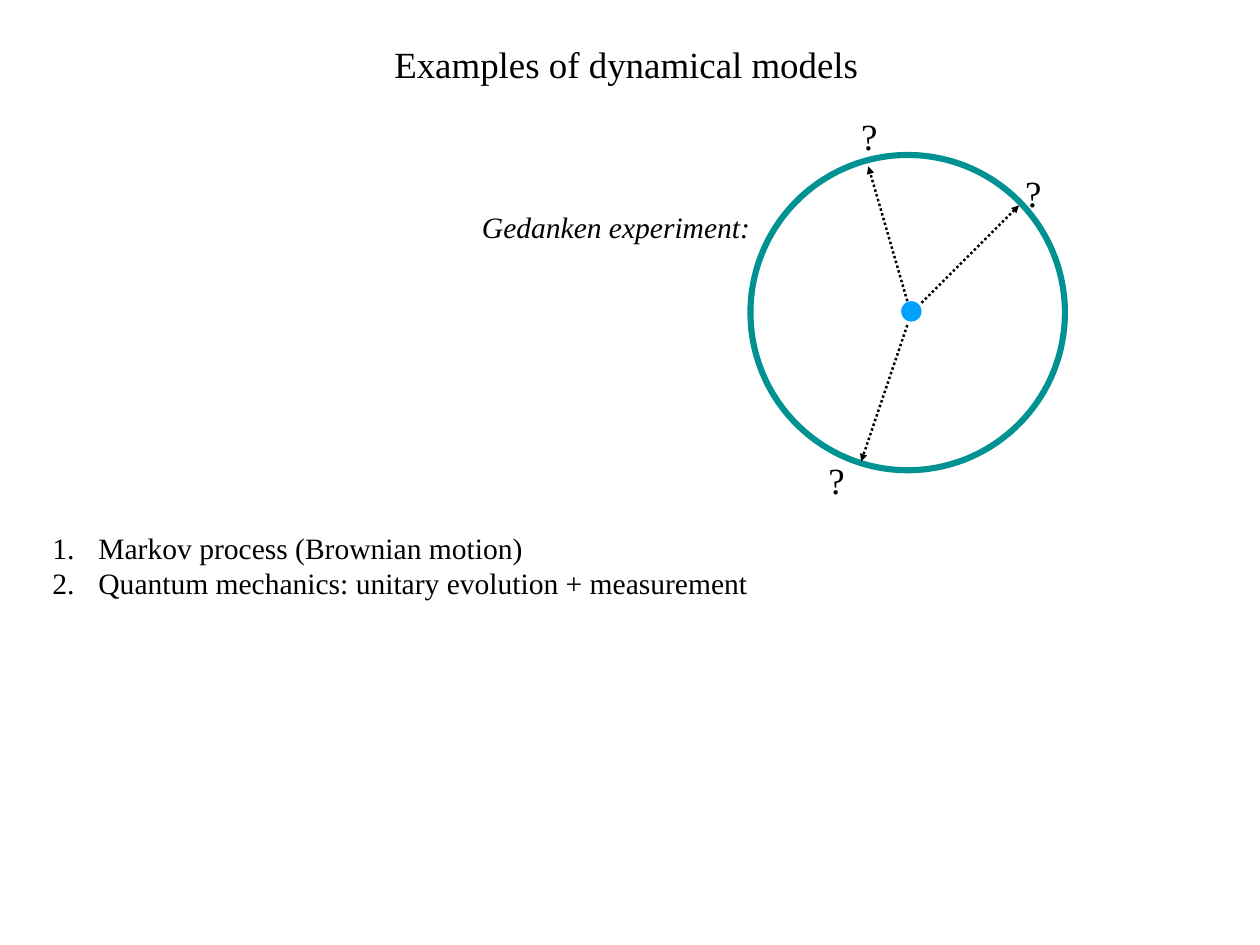
from lxml import etree
from pptx import Presentation, util as u
from pptx.dml.color import RGBColor
from pptx.enum import dml, shapes, text
from pptx.oxml import ns

BLACK = RGBColor(0x00, 0x00, 0x00)
TEAL = RGBColor(0x00, 0x91, 0x93)
BLUE = RGBColor(0x00, 0xA2, 0xFF)

presentation = Presentation()
presentation.slide_width = u.Inches(14.22)
presentation.slide_height = u.Inches(10.67)
column = presentation.slide_width / 100
row = presentation.slide_height / 100
slide = presentation.slides.add_slide(presentation.slide_layouts[5])


def place(left, top, width, height):
    return [int(left * column), int(top * row), int(width * column), int(height * row)]


def write(shape, lines, size, italic=False):
    frame = shape.text_frame
    frame.text = "\n".join(lines)
    frame_format = {
        "word_wrap": True,
        "auto_size": text.MSO_AUTO_SIZE.NONE,
        "vertical_anchor": text.MSO_ANCHOR.TOP,
    }
    for side in ("left", "top", "right", "bottom"):
        frame_format[f"margin_{side}"] = u.Inches(0.05)
    for name, value in frame_format.items():
        setattr(frame, name, value)
    font_format = {"name": "Times New Roman", "size": u.Pt(size), "italic": italic}
    for paragraph in frame.paragraphs:
        paragraph.alignment = text.PP_ALIGN.LEFT
        font = paragraph.runs[0].font
        for name, value in font_format.items():
            setattr(font, name, value)
        font.color.rgb = BLACK


title = slide.shapes.title
for name, value in zip(("left", "top", "width", "height"), place(30.94, 3.94, 42.83, 5.15)):
    setattr(title, name, value)
write(title, ["Examples of dynamical models"], 30)

circle = slide.shapes.add_shape(shapes.MSO_SHAPE.OVAL, *place(59.56, 16.4, 24.96, 33.36))
circle.shadow.inherit = False
circle.fill.background()
circle.line.color.rgb = TEAL
circle.line.width = u.Pt(5)

particle = slide.shapes.add_shape(shapes.MSO_SHAPE.OVAL, *place(71.52, 31.87, 1.62, 2.16))
particle.shadow.inherit = False
particle.fill.solid()
particle.fill.fore_color.rgb = BLUE
particle.line.fill.background()

arrow_format = {"width": u.Pt(2), "dash_style": dml.MSO_LINE.ROUND_DOT}
for start, end in [
    ((73.14, 32.05), (80.87, 21.74)),
    ((72.01, 34.4), (68.35, 48.83)),
    ((72.01, 31.87), (68.92, 17.62)),
]:
    arrow = slide.shapes.add_connector(shapes.MSO_CONNECTOR.STRAIGHT, *place(*start, *end))
    arrow.line.color.rgb = BLACK
    for name, value in arrow_format.items():
        setattr(arrow.line, name, value)
    etree.SubElement(arrow.line._get_or_add_ln(), ns.qn("a:tailEnd"), type="triangle")
    etree.SubElement(arrow._element.spPr, ns.qn("a:effectLst"))

for left, top in [(68, 11.53), (81.01, 17.62), (65.4, 47.99)]:
    write(slide.shapes.add_textbox(*place(left, top, 2.81, 5.15)), ["?"], 30)

experiment = slide.shapes.add_textbox(*place(37.9, 21.65, 22.2, 4.31))
write(experiment, ["Gedanken experiment:"], 24, italic=True)

models = slide.shapes.add_textbox(*place(3.8, 55.58, 91.07, 7.78))
write(models, [
    "Markov process (Brownian motion)",
    "Quantum mechanics: unitary evolution + measurement",
], 24)
indent = u.Inches(0.52)
for paragraph in models.text_frame.paragraphs:
    properties = paragraph._p.get_or_add_pPr()
    properties.set("marL", str(indent))
    properties.set("indent", str(-indent))
    etree.SubElement(properties, ns.qn("a:buFont"), typeface="Times New Roman")
    etree.SubElement(properties, ns.qn("a:buAutoNum"), type="arabicPeriod")

presentation.save("out.pptx")
